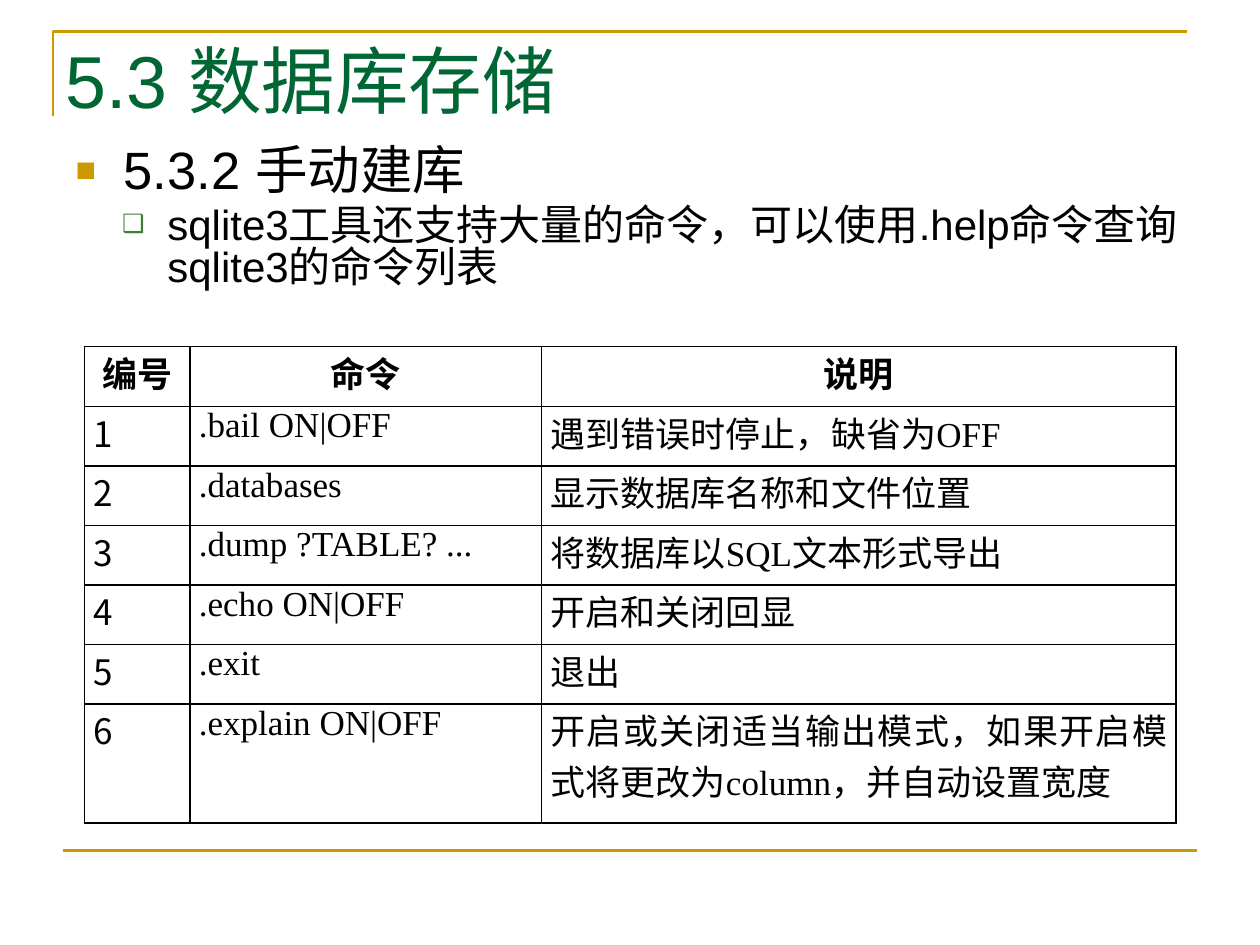
from lxml import etree
from pptx import Presentation
from pptx.dml.color import RGBColor
from pptx.enum import shapes, text
from pptx.oxml.ns import qn
from pptx.util import Cm, Pt

SANS, SERIF, CJK = "Arial", "Times New Roman", "Noto Sans CJK SC"
GOLD, GREEN, BLACK = "CC9900", "006633", "000000"

TITLE = [("5.3 ", SANS), ("数据库存储", CJK)]
OUTLINE = [
    dict(words="5.3.2 手动建库", level=0, size=30, before=0, spacing=0.92,
         margin=0.97, hanging=0.97, bullet=("■", GOLD, 65)),
    dict(words="sqlite3工具还支持大量的命令，可以使用.help命令查询sqlite3的命令列表",
         level=1, size=24, before=4, spacing=0.82,
         margin=1.85, hanging=0.91, bullet=("❑", "3B812F", 60)),
]
HEADINGS = ("编号", "命令", "说明")
COMMANDS = [
    (".bail ON|OFF", "遇到错误时停止，缺省为OFF"),
    (".databases", "显示数据库名称和文件位置"),
    (".dump ?TABLE? ...", "将数据库以SQL文本形式导出"),
    (".echo ON|OFF", "开启和关闭回显"),
    (".exit", "退出"),
    (".explain ON|OFF", "开启或关闭适当输出模式，如果开启模式将更改为column，并自动设置宽度"),
]
COLUMN_WIDTHS = (2.13, 7.09, 12.79)
ROW_HEIGHT = 1.2


def rgb(value):
    return RGBColor.from_string(value)


def child(parent, tag, **attributes):
    return etree.SubElement(parent, qn(tag), attributes)


def add_run(paragraph, words, size, color, latin, bold=False):
    run = paragraph.add_run()
    run.text = words
    for key, value in dict(size=Pt(size), name=latin, bold=bold).items():
        setattr(run.font, key, value)
    run.font.color.rgb = rgb(color)
    child(run._r.get_or_add_rPr(), "a:ea", typeface=CJK)


def place(shape, left, top, width, height):
    box = dict(left=left, top=top, width=width, height=height)
    for key, value in box.items():
        setattr(shape, key, Cm(value))


def set_frame(frame, anchor):
    options = dict(word_wrap=True, auto_size=text.MSO_AUTO_SIZE.NONE,
                   vertical_anchor=anchor)
    for key, value in options.items():
        setattr(frame, key, value)


def set_bullet(paragraph, margin, hanging, bullet):
    symbol, color, percent = bullet
    properties = paragraph._p.get_or_add_pPr()
    properties.set("marL", str(Cm(margin)))
    properties.set("indent", str(-Cm(hanging)))
    child(child(properties, "a:buClr"), "a:srgbClr", val=color)
    child(properties, "a:buSzPct", val=str(percent * 1000))
    child(properties, "a:buFont", typeface=SANS)
    child(properties, "a:buChar", char=symbol)


def set_borders(cell):
    properties = cell._tc.get_or_add_tcPr()
    for side in ("a:lnL", "a:lnR", "a:lnT", "a:lnB"):
        border = child(properties, side, w=str(Pt(1)))
        child(child(border, "a:solidFill"), "a:srgbClr", val=BLACK)


def gold_line(shape):
    shape.line.color.rgb = rgb(GOLD)
    shape.line.width = Pt(1.5)


def add_rules(slide):
    builder = slide.shapes.build_freeform(Cm(1.07), Cm(2.33))
    builder.add_line_segments([(Cm(1.07), Cm(0.64)), (Cm(23.93), Cm(0.64))],
                              close=False)
    corner = builder.convert_to_shape()
    corner.fill.background()
    corner.shadow.inherit = False
    footer = slide.shapes.add_connector(
        shapes.MSO_CONNECTOR.STRAIGHT, Cm(1.27), Cm(17.15), Cm(24.13), Cm(17.15))
    for rule in (corner, footer):
        gold_line(rule)
    child(footer._element.spPr, "a:effectLst")


def fill_title(title):
    place(title, 1.07, 0.64, 13.76, 1.9)
    set_frame(title.text_frame, text.MSO_ANCHOR.MIDDLE)
    paragraph = title.text_frame.paragraphs[0]
    paragraph.alignment = text.PP_ALIGN.LEFT
    for words, font in TITLE:
        add_run(paragraph, words, 42, GREEN, font)


def fill_body(body):
    place(body, 1.27, 2.75, 22.86, 14.4)
    frame = body.text_frame
    set_frame(frame, text.MSO_ANCHOR.TOP)
    for index, item in enumerate(OUTLINE):
        paragraph = frame.add_paragraph() if index else frame.paragraphs[0]
        set_bullet(paragraph, item["margin"], item["hanging"], item["bullet"])
        layout = dict(level=item["level"], space_before=Pt(item["before"]),
                      line_spacing=item["spacing"])
        for key, value in layout.items():
            setattr(paragraph, key, value)
        add_run(paragraph, item["words"], item["size"], BLACK, SANS)


def add_commands(slide):
    rows = [HEADINGS] + [(str(number), *command)
                         for number, command in enumerate(COMMANDS, 1)]
    heights = [ROW_HEIGHT] * len(COMMANDS) + [2 * ROW_HEIGHT]
    table = slide.shapes.add_table(
        len(rows), len(HEADINGS), Cm(1.7), Cm(6.99),
        Cm(sum(COLUMN_WIDTHS)), Cm(sum(heights))).table
    table.first_row = table.horz_banding = False
    for column, width in zip(table.columns, COLUMN_WIDTHS):
        column.width = Cm(width)
    margins = dict(margin_left=Cm(0.18), margin_right=Cm(0.18),
                   margin_top=0, margin_bottom=0)
    for r, (row, height) in enumerate(zip(rows, heights)):
        table.rows[r].height = Cm(height)
        for c, words in enumerate(row):
            cell, heading = table.cell(r, c), r == 0
            for key, value in margins.items():
                setattr(cell, key, value)
            set_borders(cell)
            cell.fill.background()
            paragraph = cell.text_frame.paragraphs[0]
            paragraph.alignment = (text.PP_ALIGN.CENTER if heading
                                   else text.PP_ALIGN.JUSTIFY)
            latin = CJK if c == 0 and not heading else SERIF
            add_run(paragraph, words, 20, BLACK, latin, bold=heading)


def main():
    deck = Presentation()
    deck.slide_width, deck.slide_height = Cm(25.4), Cm(19.05)
    slide = deck.slides.add_slide(deck.slide_layouts[1])
    add_rules(slide)
    fill_title(slide.shapes.title)
    fill_body(slide.placeholders[1])
    add_commands(slide)
    deck.save("out.pptx")


if __name__ == "__main__":
    main()
